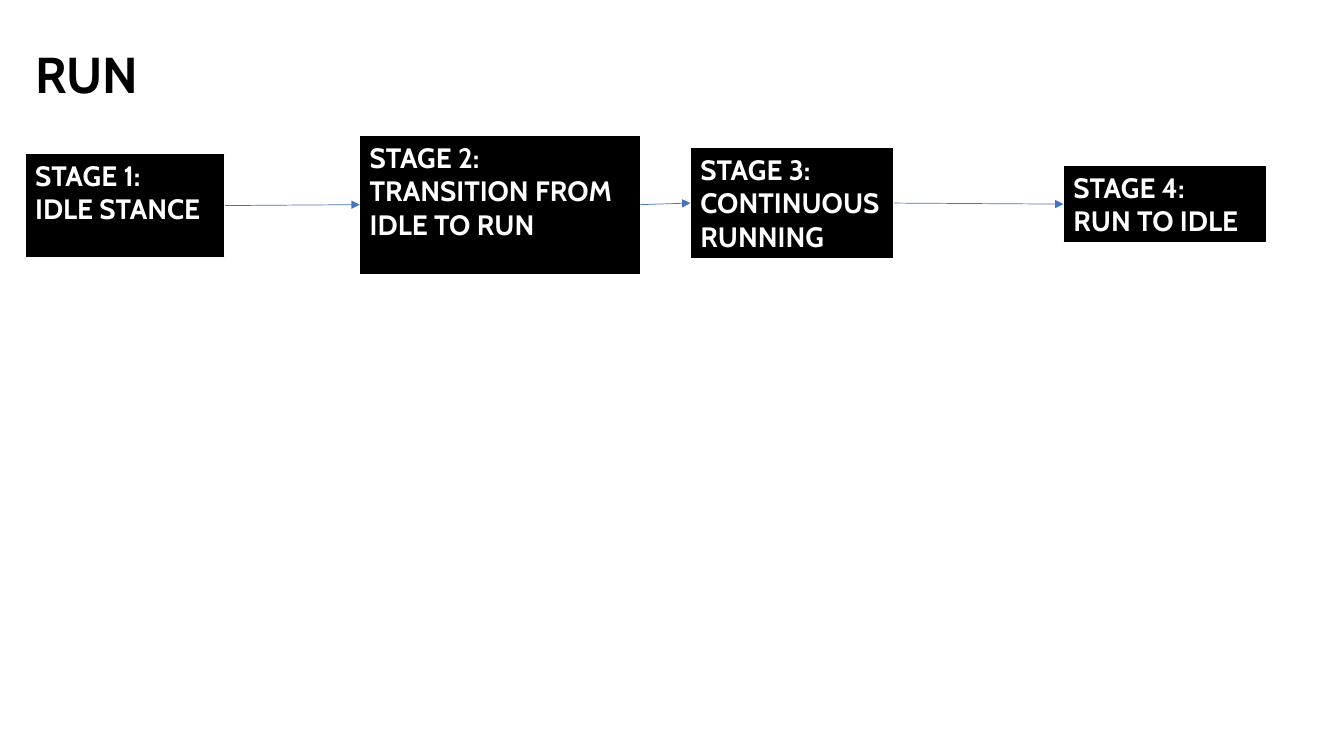
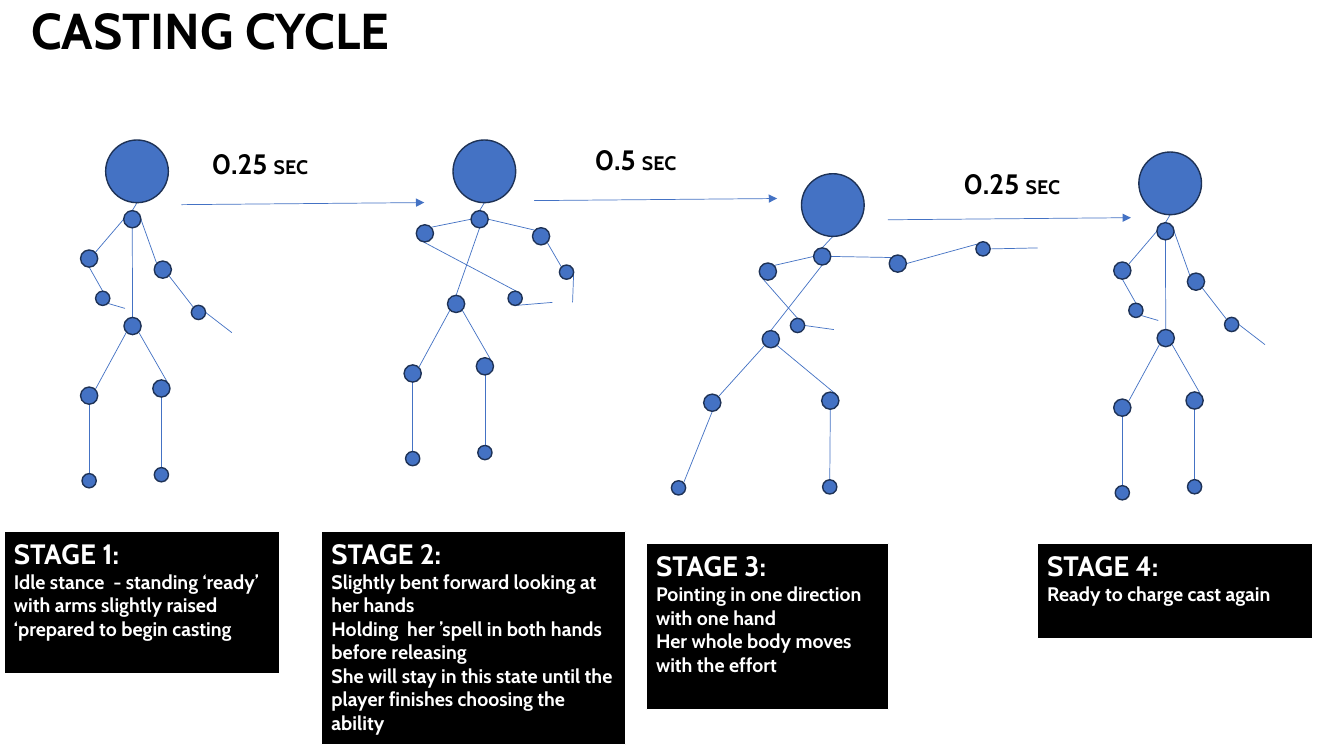
from dataclasses import dataclass, field
from math import cos, radians, sin

from lxml.etree import SubElement
from pptx import Presentation
from pptx.dml.color import RGBColor
from pptx.enum.shapes import MSO_CONNECTOR as Connector, MSO_SHAPE as Shape
from pptx.enum.text import MSO_ANCHOR as Anchor, MSO_AUTO_SIZE as AutoSize, PP_ALIGN as Align
from pptx.oxml.ns import qn
from pptx.util import Pt

BLACK = RGBColor(0x00, 0x00, 0x00)
WHITE = RGBColor(0xFF, 0xFF, 0xFF)
BLUE = RGBColor(0x44, 0x72, 0xC4)
NAVY = RGBColor(0x1E, 0x32, 0x56)
FONT = "Cabin"
TITLE_SIZE, HEADING_SIZE, BODY_SIZE = 36, 20, 14
TOP, LEFT, BOTTOM, RIGHT = range(4)

ANGLES = {"E": 0, "SE": 45, "S": 90, "SW": 135, "W": 180, "NW": 225, "N": 270, "NE": 315}
HEAD, JOINT, SMALL_JOINT = 22.4, 6.15, 5.1
RADII = {
    "head": HEAD, "neck": JOINT, "hip": JOINT,
    "left_elbow": JOINT, "right_elbow": JOINT, "left_knee": JOINT, "right_knee": JOINT,
    "left_wrist": SMALL_JOINT, "right_wrist": SMALL_JOINT,
    "left_ankle": SMALL_JOINT, "right_ankle": SMALL_JOINT,
}
BONES = {
    ("head", "neck"): ("S", "N"),
    ("neck", "left_elbow"): ("W", "NE"),
    ("left_elbow", "left_wrist"): ("S", "N"),
    ("left_wrist", "left_hand"): ("SE", None),
    ("neck", "right_elbow"): ("E", "NW"),
    ("right_elbow", "right_wrist"): ("SE", "NW"),
    ("right_wrist", "right_hand"): ("E", None),
    ("neck", "hip"): ("S", "N"),
    ("hip", "left_knee"): ("SW", "NE"),
    ("left_knee", "left_ankle"): ("S", "N"),
    ("hip", "right_knee"): ("SE", "NE"),
    ("right_knee", "right_ankle"): ("S", "N"),
}
STANDING = {
    "left_knee": (-31, 49.7), "left_ankle": (-31, 110.5),
    "right_knee": (20.6, 44.6), "right_ankle": (20.6, 106.2),
}
LUNGING = {
    "left_knee": (-41.8, 45.4), "left_ankle": (-65.9, 106.2),
    "right_knee": (42.5, 43.9), "right_ankle": (42.1, 105.5),
}


@dataclass
class Pose:
    """Upper body measured from the head, legs from the hip, and unusual bone ends."""
    body: dict
    legs: dict
    bone_ends: dict = field(default_factory=dict)


IDLE = Pose({
    "neck": (-3.4, 34.2), "hip": (-3.2, 110.5),
    "left_elbow": (-34.2, 62.3), "left_wrist": (-24.5, 90.7), "left_hand": (-8.6, 97.9),
    "right_elbow": (18.4, 70.2), "right_wrist": (43.9, 100.8), "right_hand": (67.7, 115.2),
}, STANDING)
HOLDING = Pose({
    "neck": (-3.4, 34.2), "hip": (-20.2, 94.7),
    "left_elbow": (-42.5, 44.3), "left_wrist": (22, 90.7), "left_hand": (48.6, 93.6),
    "right_elbow": (40.5, 46.4), "right_wrist": (58.7, 72), "right_hand": (63, 93.6),
}, STANDING, {
    ("left_elbow", "left_wrist"): ("SW", "NE"),
    ("left_wrist", "left_hand"): ("S", None),
})
POINTING = Pose({
    "neck": (-7.6, 36.7), "hip": (-44.3, 95.8),
    "left_elbow": (-46.4, 47.5), "left_wrist": (-25.2, 86), "left_hand": (0.7, 88.9),
    "right_elbow": (46.4, 41.8), "right_wrist": (107.3, 31.3), "right_hand": (146.2, 30.6),
}, LUNGING, {
    ("left_elbow", "left_wrist"): ("SW", "N"),
    ("left_wrist", "left_hand"): ("E", None),
    ("right_elbow", "right_wrist"): ("E", "NW"),
    ("left_knee", "left_ankle"): ("S", "NE"),
})

RUN_STAGES = [
    ((18, 109.4, 142.6, 74.9), "IDLE STANCE"),
    ((257, 96.5, 200.2, 99.4), "TRANSITION FROM IDLE TO RUN"),
    ((493.2, 105.1, 145.4, 79.9), "CONTINUOUS RUNNING"),
    ((759.6, 118.1, 145.4, 55.4), "RUN TO IDLE"),
]
CAST_STAGES = [
    (IDLE, (97.9, 122.4), (2.9, 379.4, 196.6, 101.5),
     ["Idle stance  - standing ‘ready’ with arms slightly raised ‘prepared to begin casting"]),
    (HOLDING, (346, 122.4), (229.7, 379.4, 217.4, 152.6),
     ["Slightly bent forward looking at her hands",
      "Holding  her ’spell in both hands before releasing",
      "She will stay in this state until the player finishes choosing the ability"]),
    (POINTING, (594.9, 146.5), (461.5, 388.1, 173.5, 118.8),
     ["Pointing in one direction with one hand",
      "Her whole body moves with the effort"]),
    (IDLE, (835.9, 131), (740.9, 388.1, 196.6, 67.7), ["Ready to charge cast again"]),
]
PAUSES = [
    ("0.25", (129.6, 146.2), (144, 100.8)),
    ("0.5", (381.6, 143.3), (417.6, 97.9)),
    ("0.25", (634.3, 157), (681.1, 115.2)),
]
PAUSE_ARROW = (173.5, -1.5)
PAUSE_SIZE = (149.8, 31.7)


def style_run(run, size, color):
    """Give a run the shared bold font."""
    run.font.name = FONT
    run.font.size = Pt(size)
    run.font.bold = True
    run.font.color.rgb = color


def prepare_frame(frame):
    """Make a text frame wrap from the top at a fixed size."""
    frame.word_wrap = True
    frame.auto_size = AutoSize.NONE
    frame.vertical_anchor = Anchor.TOP


def add_titled_slide(deck, title, left, top):
    """Add a slide with a formatted title."""
    slide = deck.slides.add_slide(deck.slide_layouts[5])
    heading = slide.shapes.title
    heading.left, heading.top, heading.width, heading.height = map(Pt, (left, top, 334, 51))
    heading.text_frame.text = title
    prepare_frame(heading.text_frame)
    paragraph = heading.text_frame.paragraphs[0]
    paragraph.alignment = Align.LEFT
    style_run(paragraph.runs[0], TITLE_SIZE, BLACK)
    return slide


def add_filled(slide, kind, bounds, fill, outline, weight):
    """Add a flat preset shape."""
    shape = slide.shapes.add_shape(kind, *map(Pt, bounds))
    shape.shadow.inherit = False
    shape.fill.solid()
    shape.fill.fore_color.rgb = fill
    shape.line.color.rgb = outline
    shape.line.width = Pt(weight)
    return shape


def add_stage(slide, number, bounds, details, detail_size):
    """Add a black stage box with its heading and details."""
    box = add_filled(slide, Shape.RECTANGLE, bounds, BLACK, WHITE, 0.75)
    frame = box.text_frame
    frame.text = "\n".join([f"STAGE {number}:", *details])
    prepare_frame(frame)
    for index, paragraph in enumerate(frame.paragraphs):
        paragraph.alignment = Align.LEFT
        style_run(paragraph.runs[0], detail_size if index else HEADING_SIZE, WHITE)
    return box


def add_line(slide, start, end, arrow=False):
    """Add a thin blue line, with an arrowhead at its end if wanted."""
    line = slide.shapes.add_connector(Connector.STRAIGHT, *map(Pt, (*start, *end)))
    line.line.color.rgb = BLUE
    line.line.width = Pt(0.5)
    if arrow:
        SubElement(line.line._get_or_add_ln(), qn("a:tailEnd"), type="triangle")
    SubElement(line._element.spPr, qn("a:effectLst"))
    return line


def shift(point, offset):
    """Move a point by an offset."""
    return point[0] + offset[0], point[1] + offset[1]


def bone_end(places, joint, side):
    """Find where a bone meets the rim of a joint, or the tip of a hand."""
    if side is None:
        return places[joint]
    angle, radius = radians(ANGLES[side]), RADII[joint]
    return shift(places[joint], (radius * cos(angle), radius * sin(angle)))


def add_figure(slide, pose, head):
    """Draw a stick figure in a pose around its head centre."""
    places = {"head": head}
    places.update({joint: shift(head, offset) for joint, offset in pose.body.items()})
    places.update({joint: shift(places["hip"], offset) for joint, offset in pose.legs.items()})
    for (upper, lower), (out, into) in {**BONES, **pose.bone_ends}.items():
        add_line(slide, bone_end(places, upper, out), bone_end(places, lower, into))
    for joint, radius in RADII.items():
        left, top = shift(places[joint], (-radius, -radius))
        add_filled(slide, Shape.OVAL, (left, top, 2 * radius, 2 * radius), BLUE, NAVY, 1)


def add_pause(slide, seconds, position):
    """Add a duration label with a small unit."""
    frame = slide.shapes.add_textbox(*map(Pt, (*position, *PAUSE_SIZE))).text_frame
    prepare_frame(frame)
    for text, size in ((f"{seconds} ", HEADING_SIZE), ("SEC", BODY_SIZE)):
        run = frame.paragraphs[0].add_run()
        run.text = text
        style_run(run, size, BLACK)


def build_run(deck):
    """Build the run slide."""
    slide = add_titled_slide(deck, "RUN", 18, 27.4)
    boxes = [add_stage(slide, number, bounds, [action], HEADING_SIZE)
             for number, (bounds, action) in enumerate(RUN_STAGES, 1)]
    for before, after in zip(boxes, boxes[1:]):
        arrow = add_line(slide, (0, 0), (0, 0), arrow=True)
        arrow.begin_connect(before, RIGHT)
        arrow.end_connect(after, LEFT)


def build_casting(deck):
    """Build the casting cycle slide."""
    slide = add_titled_slide(deck, "CASTING CYCLE", 15.1, -4.3)
    for number, (pose, head, bounds, details) in enumerate(CAST_STAGES, 1):
        add_figure(slide, pose, head)
        add_stage(slide, number, bounds, details, BODY_SIZE)
    for seconds, start, position in PAUSES:
        add_line(slide, start, shift(start, PAUSE_ARROW), arrow=True)
        add_pause(slide, seconds, position)


def main():
    """Build and save the deck."""
    deck = Presentation()
    deck.slide_width, deck.slide_height = Pt(960), Pt(540)
    build_run(deck)
    build_casting(deck)
    deck.save("out.pptx")


if __name__ == "__main__":
    main()
